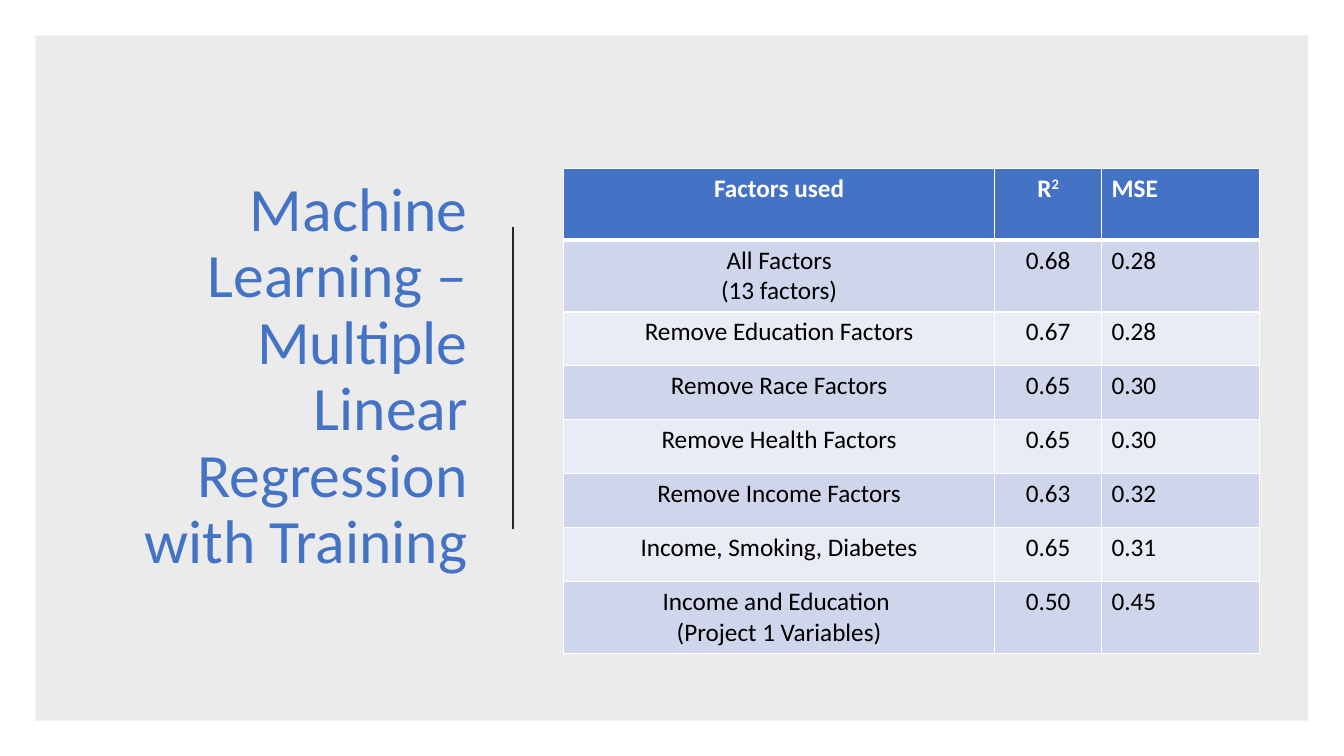
"""Build the slide comparing factor sets of a multiple linear regression."""
import lxml.etree
import pptx
import pptx.dml.color
import pptx.enum.shapes
import pptx.enum.text
import pptx.oxml.ns
import pptx.util

Cm, Pt = pptx.util.Cm, pptx.util.Pt
RGBColor = pptx.dml.color.RGBColor
PP_ALIGN = pptx.enum.text.PP_ALIGN
qn = pptx.oxml.ns.qn

TITLE = "Machine Learning – Multiple Linear Regression with Training"
ROWS = [
    ("Factors used", "R", "MSE"),
    ("All Factors\n(13 factors)", "0.68", "0.28"),
    ("Remove Education Factors", "0.67", "0.28"),
    ("Remove Race Factors", "0.65", "0.30"),
    ("Remove Health Factors", "0.65", "0.30"),
    ("Remove Income Factors", "0.63", "0.32"),
    ("Income, Smoking, Diabetes", "0.65", "0.31"),
    ("Income and Education \n(Project 1 Variables)", "0.50", "0.45"),
]
COL_WIDTHS = (10.87, 2.69, 3.99)
COL_ALIGNS = (PP_ALIGN.CENTER, PP_ALIGN.CENTER, PP_ALIGN.LEFT)
TALL_ROW, SHORT_ROW = 1.81, 1.36

FONT = "Calibri"
BLACK = RGBColor(0x00, 0x00, 0x00)
WHITE = RGBColor(0xFF, 0xFF, 0xFF)
BLUE = RGBColor(0x44, 0x72, 0xC4)
DARK = RGBColor(0x26, 0x26, 0x26)
BANDS = (RGBColor(0xE9, 0xEB, 0xF5), RGBColor(0xCF, 0xD5, 0xEA))


def style_run(r, size, color, bold=False):
    r.font.name = FONT
    r.font.size = Pt(size)
    r.font.color.rgb = color
    r.font.bold = bold


def set_borders(cell, **widths):
    tcPr = cell._tc.get_or_add_tcPr()
    for i, side in enumerate("LRTB"):
        ln = lxml.etree.Element(qn("a:ln" + side), w=str(Pt(widths.get(side, 1))))
        fill = lxml.etree.SubElement(ln, qn("a:solidFill"))
        lxml.etree.SubElement(fill, qn("a:srgbClr"), val=str(WHITE))
        tcPr.insert(i, ln)


def add_panel(s):
    sp = s.shapes.add_shape(pptx.enum.shapes.MSO_SHAPE.RECTANGLE,
                            Cm(0.89), Cm(0.89), Cm(32.08), Cm(17.27))
    sp.shadow.inherit = False
    sp.line.fill.background()
    sp.fill.solid()
    sp.fill.fore_color.rgb = BLACK
    color = sp.fill._xPr.find(".//" + qn("a:srgbClr"))
    lxml.etree.SubElement(color, qn("a:alpha"), val="8000")


def add_title(s):
    tf = s.shapes.add_textbox(Cm(2.34), Cm(2.67), Cm(9.7), Cm(13.69)).text_frame
    tf.word_wrap = True
    tf.vertical_anchor = pptx.enum.text.MSO_ANCHOR.MIDDLE
    tf.text = TITLE
    p = tf.paragraphs[0]
    p.alignment = PP_ALIGN.RIGHT
    p.line_spacing = 0.9
    style_run(p.runs[0], 44, BLUE)


def add_divider(s):
    line = s.shapes.add_connector(pptx.enum.shapes.MSO_CONNECTOR.STRAIGHT,
                                  Cm(12.93), Cm(5.72), Cm(12.93), Cm(13.34))
    line.line.color.rgb = DARK
    line.line.width = Pt(1.5)
    lxml.etree.SubElement(line._element.spPr, qn("a:effectLst"))


def add_results(s):
    heights = [TALL_ROW if i == 0 or "\n" in row[0] else SHORT_ROW
               for i, row in enumerate(ROWS)]
    table = s.shapes.add_table(len(ROWS), len(COL_WIDTHS), Cm(14.2), Cm(4.24),
                               Cm(sum(COL_WIDTHS)), Cm(sum(heights))).table
    for column, width in zip(table.columns, COL_WIDTHS):
        column.width = Cm(width)
    for i, row in enumerate(ROWS):
        table.rows[i].height = Cm(heights[i])
        header = i == 0
        for j, text in enumerate(row):
            cell = table.cell(i, j)
            cell.fill.solid()
            cell.fill.fore_color.rgb = BLUE if header else BANDS[i % 2]
            set_borders(cell, T=3 if i == 1 else 1, B=3 if header else 1)
            cell.text_frame.text = text
            if text == "R":
                square = cell.text_frame.paragraphs[0].add_run()
                square.text = "2"
                square.font._element.set("baseline", "30000")
            for p in cell.text_frame.paragraphs:
                p.alignment = COL_ALIGNS[j]
                for r in p.runs:
                    style_run(r, 18, WHITE if header else BLACK, header)


def main():
    prs = pptx.Presentation()
    prs.slide_width, prs.slide_height = Cm(33.87), Cm(19.05)
    s = prs.slides.add_slide(prs.slide_layouts[6])
    add_panel(s)
    add_title(s)
    add_divider(s)
    add_results(s)
    prs.save("out.pptx")


if __name__ == "__main__":
    main()
